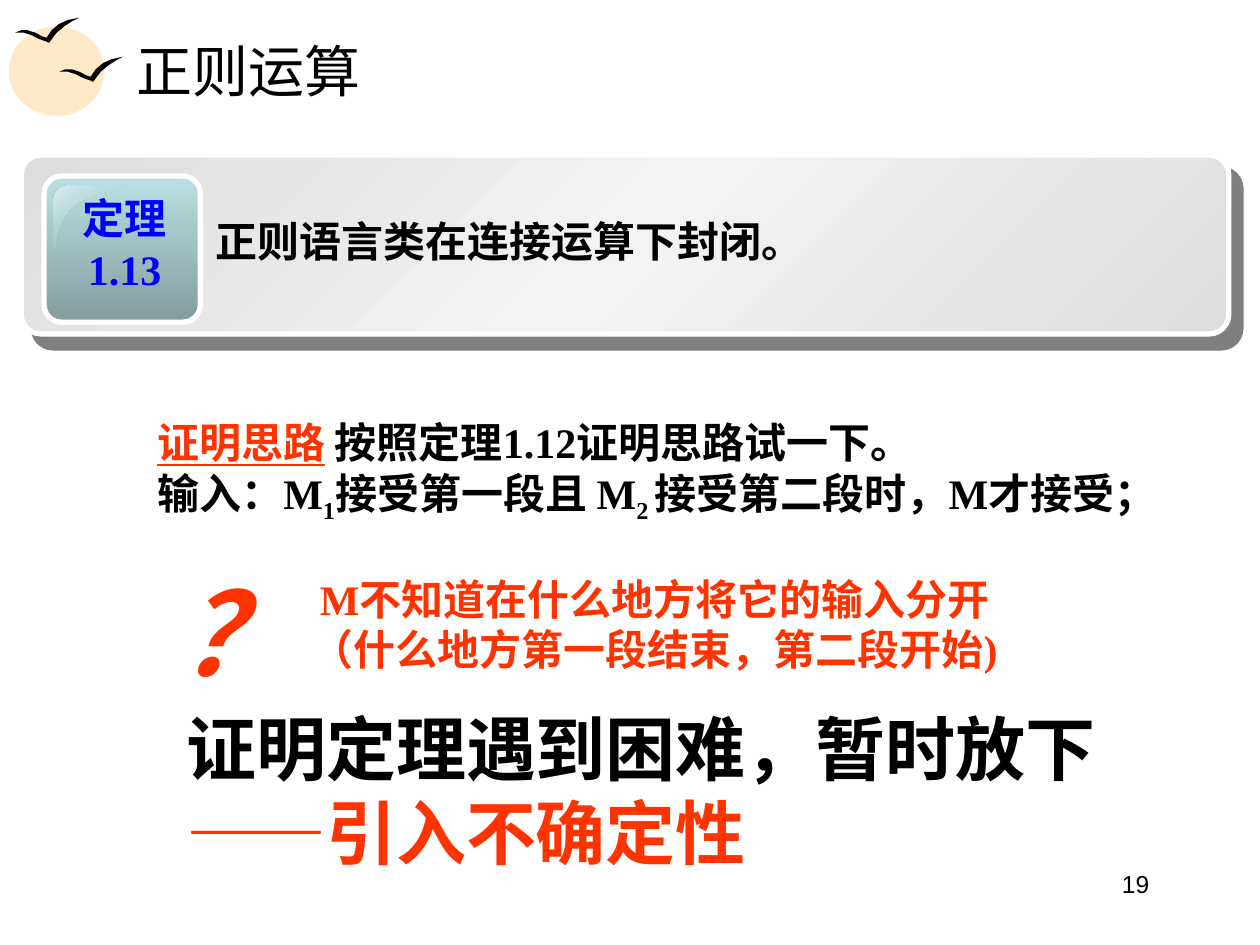
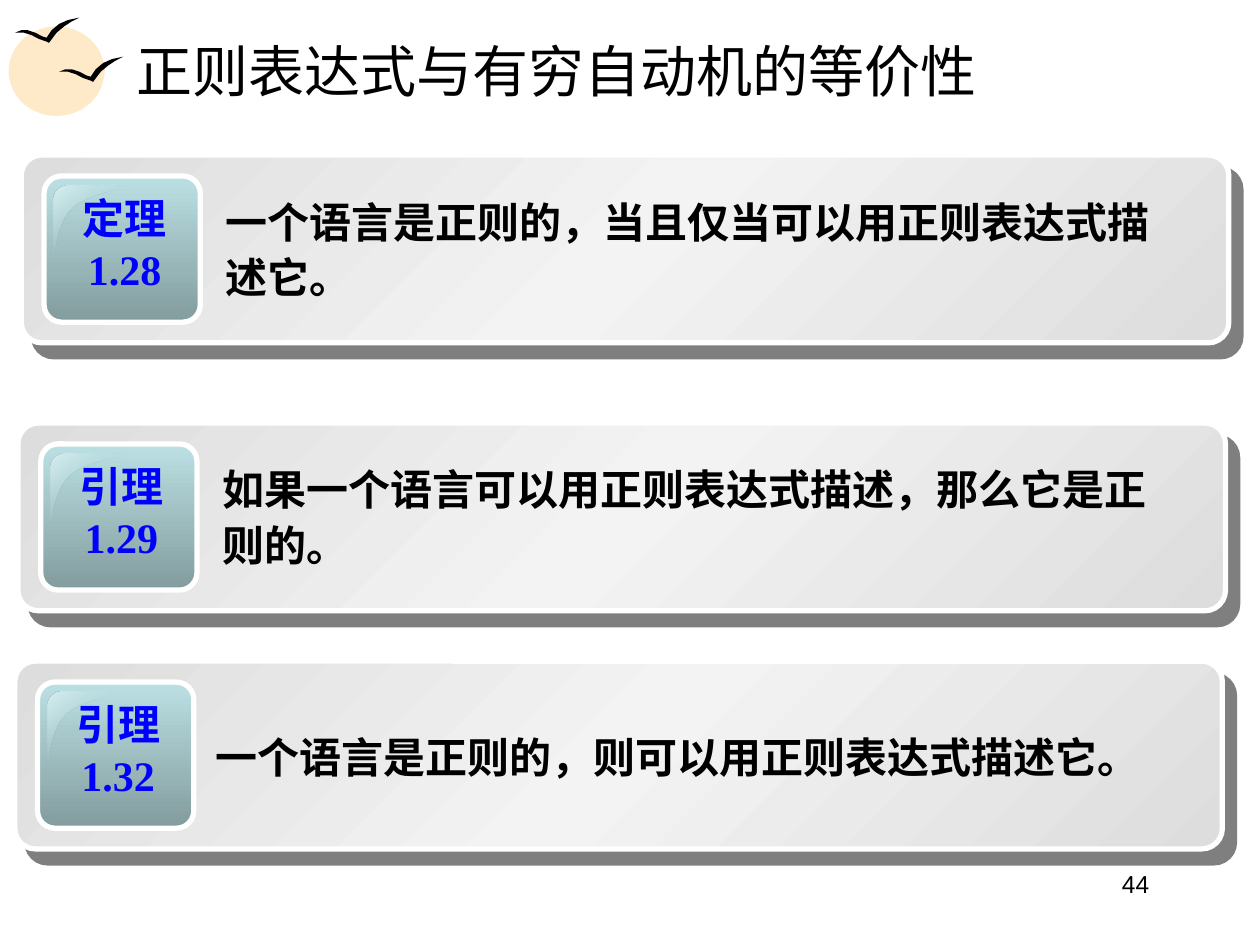
from lxml.etree import SubElement
from pptx import Presentation
from pptx.dml.color import RGBColor
from pptx.enum.shapes import MSO_SHAPE as SHAPE
from pptx.enum.text import MSO_ANCHOR as ANCHOR, PP_ALIGN as ALIGN
from pptx.oxml.ns import qn
from pptx.util import Pt

COLORS = {
    "black": "000000", "white": "FFFFFF", "sun": "FEE9C8",
    "accent": "FF3300", "label": "0000FF",
    "panel_edge": "DDDDDD", "panel_mid": "F3F3F3",
    "tile_top": "BBE0E3", "tile_bottom": "839C9E", "gloss": "DAEEF0",
}
FONT = "Times New Roman"

# Outlines in points, measured from the top left of each drawing
BIRD = [(0, 8.6), (3.6, 7.2), (7.2, 7.2), (11.5, 8.6), (15.8, 10.8), (18, 11.5),
        (20.9, 7.2), (25.2, 3.6), (30.2, 1.4), (36.7, 0), (32.4, 2.2), (28.1, 5),
        (23.8, 8.6), (19.4, 14.4), (18, 13.7), (13.7, 12.2), (9.4, 10), (5, 8.6)]
GLOSS_CURVES = [
    [(8.6, 0), (3.6, 0), (0, 3.6), (0, 8.6)],
    [(0, 41.8), (1.4, 41.8), (0.7, 21.6), (11.5, 12.2)],
    [(11.5, 12.2), (23, 2.9), (43.9, 2.2), (43.2, 0)],
]


def rgb(color):
    return RGBColor.from_string(COLORS[color])


def curve_points(controls, steps=10):
    """Sample a cubic Bezier curve."""
    points = []
    for step in range(steps + 1):
        t = step / steps
        weights = ((1 - t) ** 3, 3 * t * (1 - t) ** 2, 3 * t * t * (1 - t), t ** 3)
        points.append(tuple(sum(w * c[axis] for w, c in zip(weights, controls))
                            for axis in (0, 1)))
    return points


# --- Fills, shadows and shapes ---
def set_gradient(shape, stops, angle):
    """Each stop is (position in percent, colour, opacity in percent)."""
    shape.fill.gradient()
    shape.fill.gradient_angle = 360 - angle
    stop_list = shape._element.spPr.find(".//" + qn("a:gsLst"))
    for default_stop in list(stop_list):
        stop_list.remove(default_stop)
    for position, color, opacity in stops:
        stop = SubElement(stop_list, qn("a:gs"), pos=str(position * 1000))
        tone = SubElement(stop, qn("a:srgbClr"), val=COLORS[color])
        if opacity < 100:
            SubElement(tone, qn("a:alpha"), val=str(opacity * 1000))


def add_panel_shadow(panel):
    effects = panel._element.spPr.find(qn("a:effectLst"))
    shadow = SubElement(effects, qn("a:outerShdw"), blurRad="0", dist=str(Pt(10.6)),
                        dir=str(49 * 60000), algn="ctr", rotWithShape="0")
    tone = SubElement(shadow, qn("a:srgbClr"), val=COLORS["black"])
    SubElement(tone, qn("a:alpha"), val="50000")


def add_preset(slide, kind, left, top, width, height):
    shape = slide.shapes.add_shape(kind, Pt(left), Pt(top), Pt(width), Pt(height))
    shape.shadow.inherit = False
    shape.line.fill.background()
    return shape


def add_rounded(slide, left, top, width, height, radius, stops, angle):
    shape = add_preset(slide, SHAPE.ROUNDED_RECTANGLE, left, top, width, height)
    shape.adjustments[0] = radius
    set_gradient(shape, stops, angle)
    shape.line.color.rgb = rgb("white")
    shape.line.width = Pt(3)
    return shape


def add_outline(slide, left, top, points):
    corners = [(Pt(left + x), Pt(top + y)) for x, y in points]
    builder = slide.shapes.build_freeform(*corners[0], scale=1.0)
    builder.add_line_segments(corners[1:], close=True)
    shape = builder.convert_to_shape()
    shape.shadow.inherit = False
    shape.line.fill.background()
    return shape


# --- Text ---
def write(frame, paragraphs, size=24, font=FONT, color="black", bold=True,
          italic=False, align=ALIGN.LEFT, spacing=None):
    """Each paragraph is a string or a list of (text, overrides) runs."""
    for index, content in enumerate(paragraphs):
        paragraph = frame.paragraphs[0] if index == 0 else frame.add_paragraph()
        paragraph.alignment = align
        if spacing:
            paragraph.line_spacing = spacing
        runs = [(content, {})] if isinstance(content, str) else content
        for text, overrides in runs:
            run = paragraph.add_run()
            run.text = text
            run.font.size, run.font.name = Pt(size), font
            run.font.bold, run.font.italic = bold, italic
            run.font.color.rgb = rgb(overrides.get("color", color))
            if overrides.get("underline"):
                run.font.underline = True
            if "baseline" in overrides:
                run._r.get_or_add_rPr().set("baseline", str(overrides["baseline"] * 1000))


def add_text(slide, left, top, width, height, paragraphs, inset=True, wrap=True, **style):
    frame = slide.shapes.add_textbox(Pt(left), Pt(top), Pt(width), Pt(height)).text_frame
    frame.word_wrap = wrap
    if not inset:
        frame.margin_left = frame.margin_right = 0
        frame.margin_top = frame.margin_bottom = 0
    write(frame, paragraphs, **style)


# --- Parts shared by the slides ---
def add_emblem(slide):
    for sun_box in ((5, 15.1, 54.7, 51.1), (14.4, 20.2, 45.4, 39.6)):
        sun = add_preset(slide, SHAPE.OVAL, *sun_box)
        sun.fill.solid()
        sun.fill.fore_color.rgb = rgb("sun")
    for left, top in ((33.8, 32.4), (8.6, 10.1)):
        bird = add_outline(slide, left, top, BIRD)
        bird.fill.solid()
        bird.fill.fore_color.rgb = rgb("black")


def new_slide(deck, heading, page):
    slide = deck.slides.add_slide(deck.slide_layouts[5])
    add_emblem(slide)
    title = slide.shapes.title
    title.left, title.top, title.width, title.height = Pt(70.6), Pt(15.1), Pt(614.2), Pt(49.7)
    title.text_frame.vertical_anchor = ANCHOR.MIDDLE
    write(title.text_frame, [heading], size=32, bold=False)
    add_text(slide, 496, 493.2, 167.8, 37.4, [page], size=14, font="Arial",
             bold=False, align=ALIGN.RIGHT)
    return slide


def add_statement_card(slide, left, top, height, label, statement, text_left, text_top):
    """A panel with a glossy label tile; the text offsets count from the panel."""
    panel = add_rounded(slide, left, top, 690, height, 0.109,
                        [(0, "panel_edge", 100), (50, "panel_mid", 100),
                         (100, "panel_edge", 100)], 45)
    add_panel_shadow(panel)
    add_rounded(slide, left + 13, top + 12, 89.3, 83.5, 0.119,
                [(0, "tile_top", 100), (100, "tile_bottom", 100)], 90)
    gloss_points = [point for controls in GLOSS_CURVES for point in curve_points(controls)]
    gloss = add_outline(slide, left + 18.7, top + 17.4, gloss_points)
    set_gradient(gloss, [(0, "gloss", 100), (50, "tile_top", 0), (100, "gloss", 100)], 45)
    add_text(slide, left + 25.2, top + 18, 67.7, 64.8, label,
             color="label", align=ALIGN.CENTER)
    add_text(slide, left + text_left, top + text_top, 550, 40, [statement], spacing=1.1)


# --- Slides ---
def build_closure_slide(deck):
    slide = new_slide(deck, "正则运算", "19")
    add_statement_card(slide, 12.2, 88.6, 102.2, ["定理", "1.13"],
                       "正则语言类在连接运算下封闭。", 103.7, 28)
    # Proof idea
    subscript = {"baseline": -25}
    add_text(slide, 82.8, 234.7, 607, 69.1, [
        [("证明思路", {"color": "accent", "underline": True}),
         (" 按照定理1.12证明思路试一下。", {})],
        [("输入：M", {}), ("1", subscript), ("接受第一段且 M", {}),
         ("2 ", subscript), ("接受第二段时，M才接受；", {})],
    ])
    # The difficulty
    add_text(slide, 102.2, 320.4, 66.2, 79.2, ["？"], inset=False, wrap=False,
             size=66, font="Comic Neue", color="accent", italic=True)
    add_text(slide, 175, 327.6, 398.2, 57.6,
             ["M不知道在什么地方将它的输入分开", "（什么地方第一段结束，第二段开始)"],
             inset=False, wrap=False, color="accent", align=ALIGN.CENTER)
    # Conclusion
    add_text(slide, 99.4, 399.6, 540, 103.7,
             ["证明定理遇到困难，暂时放下", [("——引入不确定性", {"color": "accent"})]], size=40)


def build_equivalence_slide(deck):
    slide = new_slide(deck, "正则表达式与有穷自动机的等价性", "44")
    cards = [
        (12.2, 88.6, ["定理", "1.28"],
         "一个语言是正则的，当且仅当可以用正则表达式描述它。", 109.6, 17),
        (10.3, 241.7, ["引理", "1.29"],
         "如果一个语言可以用正则表达式描述，那么它是正则的。", 109.6, 17),
        (8.5, 377.8, ["引理", "1.32"],
         "一个语言是正则的，则可以用正则表达式描述它。", 107.4, 34),
    ]
    for left, top, label, statement, text_left, text_top in cards:
        add_statement_card(slide, left, top, 107.3, label, statement, text_left, text_top)


def main():
    deck = Presentation()
    deck.slide_width, deck.slide_height = Pt(720), Pt(540)
    build_closure_slide(deck)
    build_equivalence_slide(deck)
    deck.save("out.pptx")


if __name__ == "__main__":
    main()
